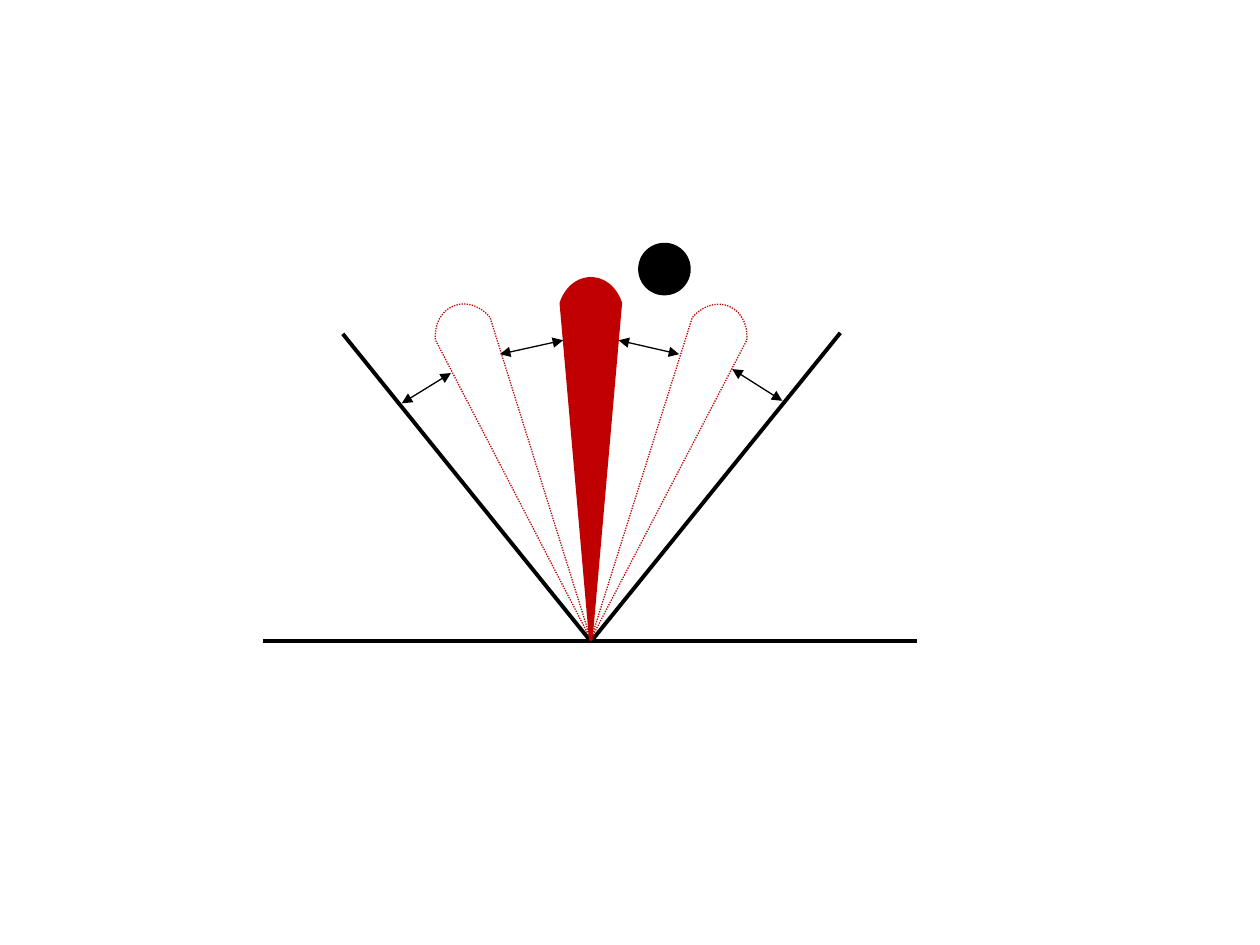
from dataclasses import dataclass
from math import cos, radians, sin

from pptx import Presentation
from pptx.dml.color import RGBColor as Rgb
from pptx.enum.dml import MSO_LINE as Dash
from pptx.enum.shapes import MSO_CONNECTOR as Conn, MSO_SHAPE as Form
from pptx.oxml.ns import qn
from pptx.util import Cm, Pt


@dataclass(frozen=True)
class Theme:
    black: Rgb = Rgb(0, 0, 0)
    red: Rgb = Rgb(0xC0, 0, 0)
    thin: float = 0.75
    mid: float = 2
    thick: float = 2.25


@dataclass(frozen=True)
class Line:
    x1: float
    y1: float
    x2: float
    y2: float
    arrow: bool = False


@dataclass(frozen=True)
class Blade:
    tilt: float
    solid: bool = False


# Lengths are in centimetres, tilts in degrees from upright
THEME = Theme()
PIVOT = (11.91, 12.89)
WIDE, TALL = 1.19, 7.27
SIDE = 6.78  # where the straight sides end
STEPS = 24

WALLS = [
    Line(5.31, 12.93, 18.49, 12.93),
    Line(6.91, 6.73, 11.91, 12.93),
    Line(16.94, 6.71, 11.94, 12.9),
]
BLADES = [Blade(0, solid=True), Blade(22.5), Blade(-22.4)]
GAPS = [
    Line(8.1, 8.13, 9.09, 7.52, arrow=True),
    Line(10.08, 7.14, 11.35, 6.86, arrow=True),
    Line(12.47, 6.86, 13.69, 7.14, arrow=True),
    Line(14.76, 7.44, 15.77, 8.08, arrow=True),
]


def draw_line(shapes, item: Line) -> None:
    ends = [Cm(v) for v in (item.x1, item.y1, item.x2, item.y2)]
    shape = shapes.add_connector(Conn.STRAIGHT, *ends)
    shape.line.color.rgb = THEME.black
    shape.line.width = Pt(THEME.thin if item.arrow else THEME.thick)
    props = shape._element.spPr
    if item.arrow:
        edge = props.find(qn("a:ln"))
        for tag in ("a:headEnd", "a:tailEnd"):
            end = edge.makeelement(qn(tag), {"type": "triangle"})
            edge.append(end)
    props.append(props.makeelement(qn("a:effectLst"), {}))


def round_end() -> list[tuple[float, float]]:
    """Points on the curved end, from the right side to the left."""
    inset, drop = 0.22, (TALL - SIDE) * 4 / 3
    points = []
    for step in range(STEPS + 1):
        t = step / STEPS
        u = 1 - t
        x = WIDE * u**3 + 3 * u * t * ((WIDE - inset) * u + inset * t)
        points.append((x, SIDE + 3 * u * t * drop))
    return points


def draw_blade(shapes, item: Blade) -> None:
    # The outline hangs from its tip, then turns over about its centre
    turn = radians(item.tilt)
    left = PIVOT[0] + TALL / 2 * sin(turn) - WIDE / 2
    top = PIVOT[1] - TALL / 2 * cos(turn) - TALL / 2
    pen = shapes.build_freeform(Cm(left + WIDE / 2), Cm(top))
    pen.add_line_segments(
        [(Cm(left + x), Cm(top + y)) for x, y in round_end()], close=True
    )
    shape = pen.convert_to_shape()
    shape.rotation = 180 + item.tilt
    shape.shadow.inherit = False
    shape.line.color.rgb = THEME.red
    if item.solid:
        shape.fill.solid()
        shape.fill.fore_color.rgb = THEME.red
        shape.line.width = Pt(THEME.mid)
    else:
        shape.fill.background()
        shape.line.width = Pt(THEME.thin)
        shape.line.dash_style = Dash.ROUND_DOT


def draw_ball(shapes, left: float, top: float, size: float) -> None:
    ball = shapes.add_shape(Form.OVAL, Cm(left), Cm(top), Cm(size), Cm(size))
    ball.shadow.inherit = False
    ball.fill.solid()
    ball.fill.fore_color.rgb = THEME.black
    ball.line.color.rgb = THEME.black
    ball.line.width = Pt(THEME.mid)


def main() -> None:
    deck = Presentation()
    deck.slide_width, deck.slide_height = Cm(25.4), Cm(19.05)
    shapes = deck.slides.add_slide(deck.slide_layouts[6]).shapes

    # Base and side walls
    for wall in WALLS:
        draw_line(shapes, wall)
    # Blade at rest and at both tilts
    for blade in BLADES:
        draw_blade(shapes, blade)
    # Arrows across the gaps
    for gap in GAPS:
        draw_line(shapes, gap)
    # Ball beside the blade
    draw_ball(shapes, 12.9, 4.93, 0.99)

    deck.save("out.pptx")


main()
